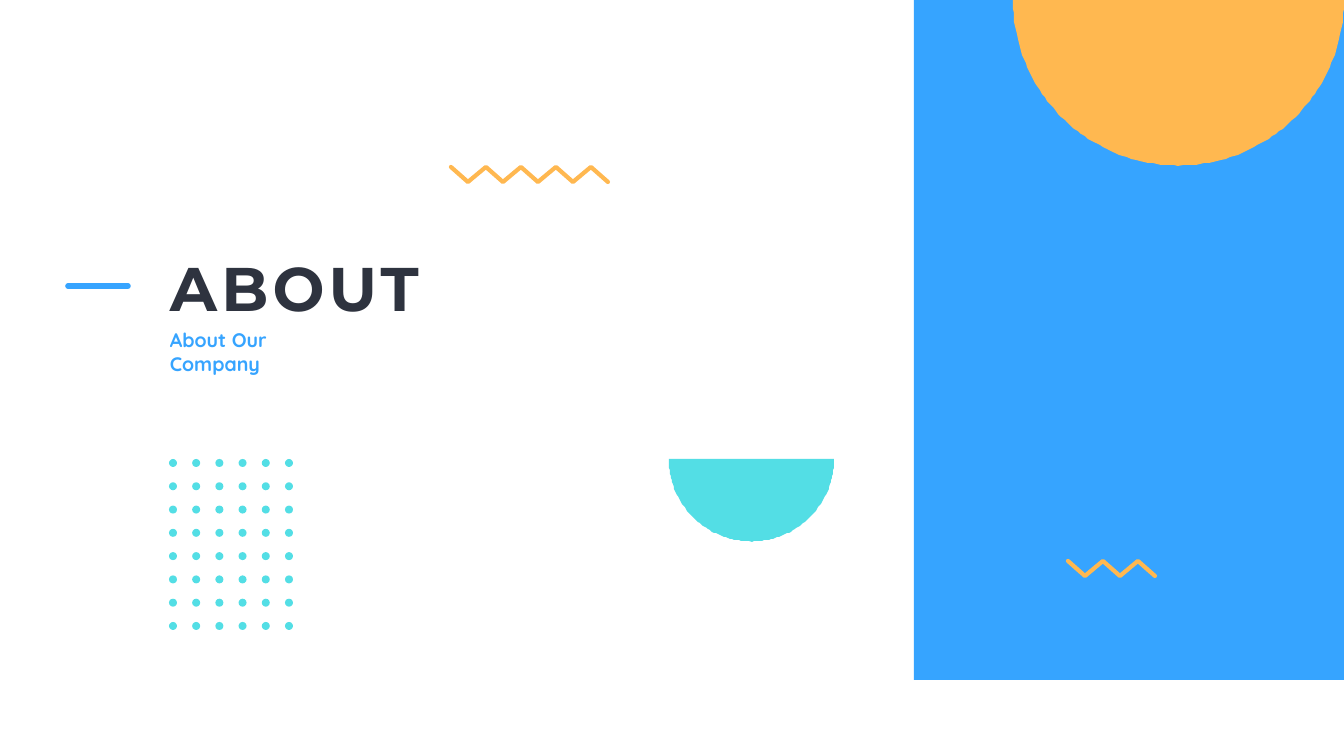
import math
from dataclasses import dataclass

from pptx import Presentation
from pptx import util as u
from pptx.dml.color import RGBColor
from pptx.enum import shapes, text
from pptx.oxml.ns import qn
from lxml import etree

PX = 12192000 / 1344


@dataclass(frozen=True)
class Theme:
    blue: str = "36A4FF"
    orange: str = "FFB850"
    teal: str = "53DEE5"
    ink: str = "2E333F"
    title_font: str = "Montserrat"
    body_font: str = "Quicksand"
    title_size: int = 44
    subtitle_size: int = 14
    rule_width: int = 4
    zigzag_width: int = 3


T = Theme()


def px(n):
    return u.Emu(round(n * PX))


def fill_shape(sp, color):
    sp.shadow.inherit = False
    sp.fill.solid()
    sp.fill.fore_color.rgb = RGBColor.from_string(color)
    sp.line.fill.background()


def add_solid(parent, kind, x, y, w, h, color):
    sp = parent.add_shape(kind, px(x), px(y), px(w), px(h))
    fill_shape(sp, color)


def round_stroke(sp, color, width):
    sp.line.color.rgb = RGBColor.from_string(color)
    sp.line.width = u.Pt(width)
    ln = sp.element.spPr.find(qn("a:ln"))
    ln.set("cap", "rnd")
    etree.SubElement(ln, qn("a:round"))


def add_rule(s, x1, x2, y, color):
    sp = s.shapes.add_connector(shapes.MSO_CONNECTOR.STRAIGHT, px(x1), px(y), px(x2), px(y))
    round_stroke(sp, color, T.rule_width)
    etree.SubElement(sp.element.spPr, qn("a:effectLst"))


def add_zigzag(s, x, y, w, h, strokes, color):
    points = [(x + w * i / strokes, y + h * (i % 2)) for i in range(strokes + 1)]
    fb = s.shapes.build_freeform(*points[0], scale=PX)
    fb.add_line_segments(points[1:], close=False)
    sp = fb.convert_to_shape()
    sp.shadow.inherit = False
    sp.fill.background()
    round_stroke(sp, color, T.zigzag_width)


def add_half_disc(s, x, y, w, color, steps=120):
    r = w / 2
    angles = [math.pi * i / steps for i in range(steps + 1)]
    points = [(x + r + r * math.cos(a), y + r * math.sin(a)) for a in angles]
    fb = s.shapes.build_freeform(*points[0], scale=PX)
    fb.add_line_segments(points[1:], close=True)
    fill_shape(fb.convert_to_shape(), color)


def add_dot_grid(s, x, y, w, h, cols, rows, size, color):
    grid = s.shapes.add_group_shape()
    for row in range(rows):
        for col in range(cols):
            left = x + (w - size) * col / (cols - 1)
            top = y + (h - size) * row / (rows - 1)
            add_solid(grid.shapes, shapes.MSO_SHAPE.OVAL, left, top, size, size, color)


def add_label(s, x, y, w, h, words, font, size, color, wrap, spacing=0):
    tf = s.shapes.add_textbox(px(x), px(y), px(w), px(h)).text_frame
    tf.text = words
    tf.word_wrap = wrap
    tf.auto_size = text.MSO_AUTO_SIZE.SHAPE_TO_FIT_TEXT
    r = tf.paragraphs[0].runs[0]
    r.font.name = font
    r.font.size = u.Pt(size)
    r.font.bold = True
    r.font.color.rgb = RGBColor.from_string(color)
    if spacing:
        r.font._element.set("spc", str(spacing * 100))


def main():
    prs = Presentation()
    prs.slide_width, prs.slide_height = px(1344), px(756)
    s = prs.slides.add_slide(prs.slide_layouts[6])

    add_solid(s.shapes, shapes.MSO_SHAPE.RECTANGLE, 914, 0, 430, 680, T.blue)
    add_dot_grid(s, 169, 459, 124, 171, cols=6, rows=8, size=8, color=T.teal)
    add_label(s, 160, 245, 282, 85, "ABOUT", T.title_font, T.title_size, T.ink,
              wrap=False, spacing=3)
    add_label(s, 160, 323, 205, 34, "About Our Company", T.body_font, T.subtitle_size,
              T.blue, wrap=True)
    add_rule(s, 68, 128, 286, T.blue)
    add_zigzag(s, 451, 167, 157, 15, 9, T.orange)
    add_zigzag(s, 1068, 561, 87, 15, 5, T.orange)
    add_half_disc(s, 669, 459, 165, T.teal)
    add_half_disc(s, 1013, 0, 331, T.orange)

    prs.save("out.pptx")


if __name__ == "__main__":
    main()
